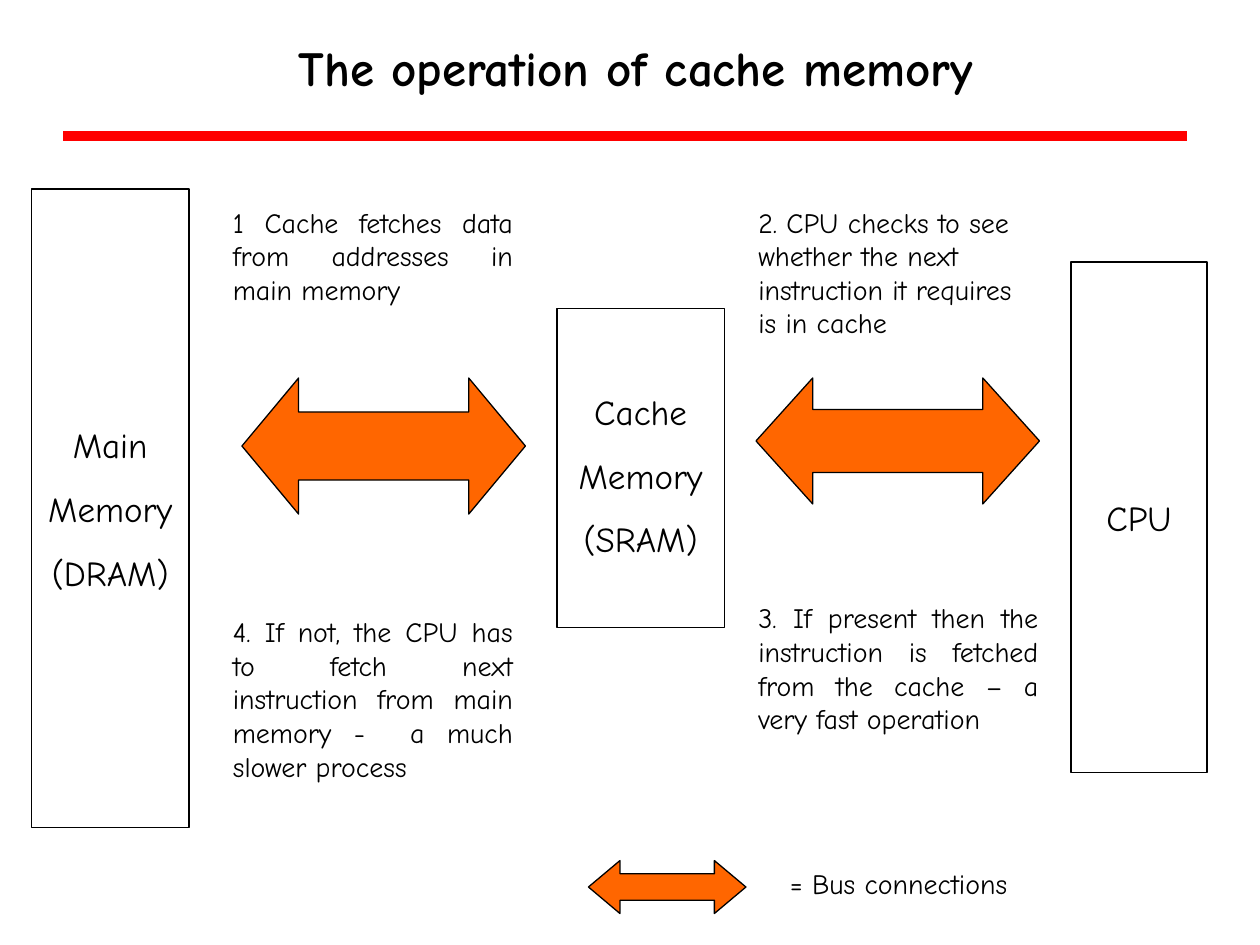
from lxml import etree
from pptx import Presentation
from pptx.dml.color import RGBColor
from pptx.enum.shapes import MSO_CONNECTOR, MSO_SHAPE
from pptx.enum.text import MSO_ANCHOR, PP_ALIGN
from pptx.oxml.ns import qn
from pptx.util import Inches, Pt

FONT = "Comic Neue"
BLACK, RED, ORANGE = "000000", "FF0000", "FF6600"
LEFT, CENTER, JUSTIFY = PP_ALIGN.LEFT, PP_ALIGN.CENTER, PP_ALIGN.JUSTIFY
MIDDLE = MSO_ANCHOR.MIDDLE
RECT, ARROW = MSO_SHAPE.RECTANGLE, MSO_SHAPE.LEFT_RIGHT_ARROW
STRAIGHT = MSO_CONNECTOR.STRAIGHT


def color(hex_value):
    """Return the colour for a hex string."""
    return RGBColor.from_string(hex_value)


def write(tf, lines, size, align, bold=False, gap=0):
    """Fill a text frame with one paragraph per line."""
    tf.word_wrap = True
    for i, line in enumerate(lines):
        p = tf.paragraphs[0] if i == 0 else tf.add_paragraph()
        p.text = line
        p.alignment = align
        p.space_before = Pt(gap if i else 0)
        p.font.name = FONT
        p.font.size = Pt(size)
        p.font.bold = bold
        p.font.color.rgb = color(BLACK)


def add_text(s, x, y, w, h, text, size=16, align=JUSTIFY, bold=False):
    """Add a text box with a single paragraph."""
    box = s.shapes.add_textbox(Inches(x), Inches(y), Inches(w), Inches(h))
    write(box.text_frame, [text], size, align, bold)


def add_outlined(s, kind, x, y, w, h):
    """Add a preset shape with a thin black outline and no shadow."""
    sp = s.shapes.add_shape(kind, Inches(x), Inches(y), Inches(w), Inches(h))
    sp.shadow.inherit = False
    sp.line.color.rgb = color(BLACK)
    sp.line.width = Pt(0.75)
    return sp


def add_unit(s, x, y, w, h, lines, inset_top=0.05):
    """Add an unfilled hardware box with a centred label."""
    sp = add_outlined(s, RECT, x, y, w, h)
    sp.fill.background()
    tf = sp.text_frame
    tf.vertical_anchor = MIDDLE
    tf.margin_top = Inches(inset_top)
    write(tf, lines, 20, CENTER, gap=12.5)


def add_bus(s, x, y, w, h):
    """Add a double arrow whose heads each take a fifth of its width."""
    sp = add_outlined(s, ARROW, x, y, w, h)
    sp.fill.solid()
    sp.fill.fore_color.rgb = color(ORANGE)
    sp.adjustments[0] = 0.5
    sp.adjustments[1] = w / 5 / h


def add_rule(s, x1, x2, y):
    """Add the thick red line under the title."""
    c = s.shapes.add_connector(STRAIGHT, Inches(x1), Inches(y), Inches(x2), Inches(y))
    c.line.color.rgb = color(RED)
    c.line.width = Pt(6)
    etree.SubElement(c._element.spPr, qn("a:effectLst"))


def main():
    """Build the slide and save it."""
    prs = Presentation()
    prs.slide_width, prs.slide_height = Inches(10), Inches(7.5)
    s = prs.slides.add_slide(prs.slide_layouts[6])

    add_rule(s, 0.5, 9.42, 1.08)
    add_text(s, 0.17, 0.25, 9.75, 0.57, "The operation of cache memory", 28, CENTER, True)

    steps = [
        (1.75, 1.58, 0.9, JUSTIFY, "1 Cache fetches data from addresses in main memory"),
        (5.92, 1.58, 1.17, LEFT,
         "2. CPU checks to see whether the next instruction it requires is in cache"),
        (5.92, 4.72, 1.17, JUSTIFY,
         "3. If present then the instruction is fetched from the cache – a very fast operation"),
        (1.75, 4.83, 1.44, JUSTIFY,
         "4. If not, the CPU has to fetch next instruction from main memory -  a much slower process"),
    ]
    for x, y, h, align, text in steps:
        add_text(s, x, y, 2.42, h, text, align=align)

    add_unit(s, 0.25, 1.5, 1.25, 5.07, ["Main", "Memory", "(DRAM)"])
    add_unit(s, 8.5, 2.08, 1.08, 4.05, ["CPU"])
    add_unit(s, 4.42, 2.45, 1.33, 2.53, ["Cache", "Memory", "(SRAM)"], 0.16)

    add_bus(s, 1.92, 3, 2.25, 1.08)
    add_bus(s, 6, 3, 2.25, 1)
    add_bus(s, 4.67, 6.83, 1.25, 0.42)
    add_text(s, 6.17, 6.83, 2.75, 0.37, "= Bus connections", align=LEFT)

    prs.save("out.pptx")


if __name__ == "__main__":
    main()
